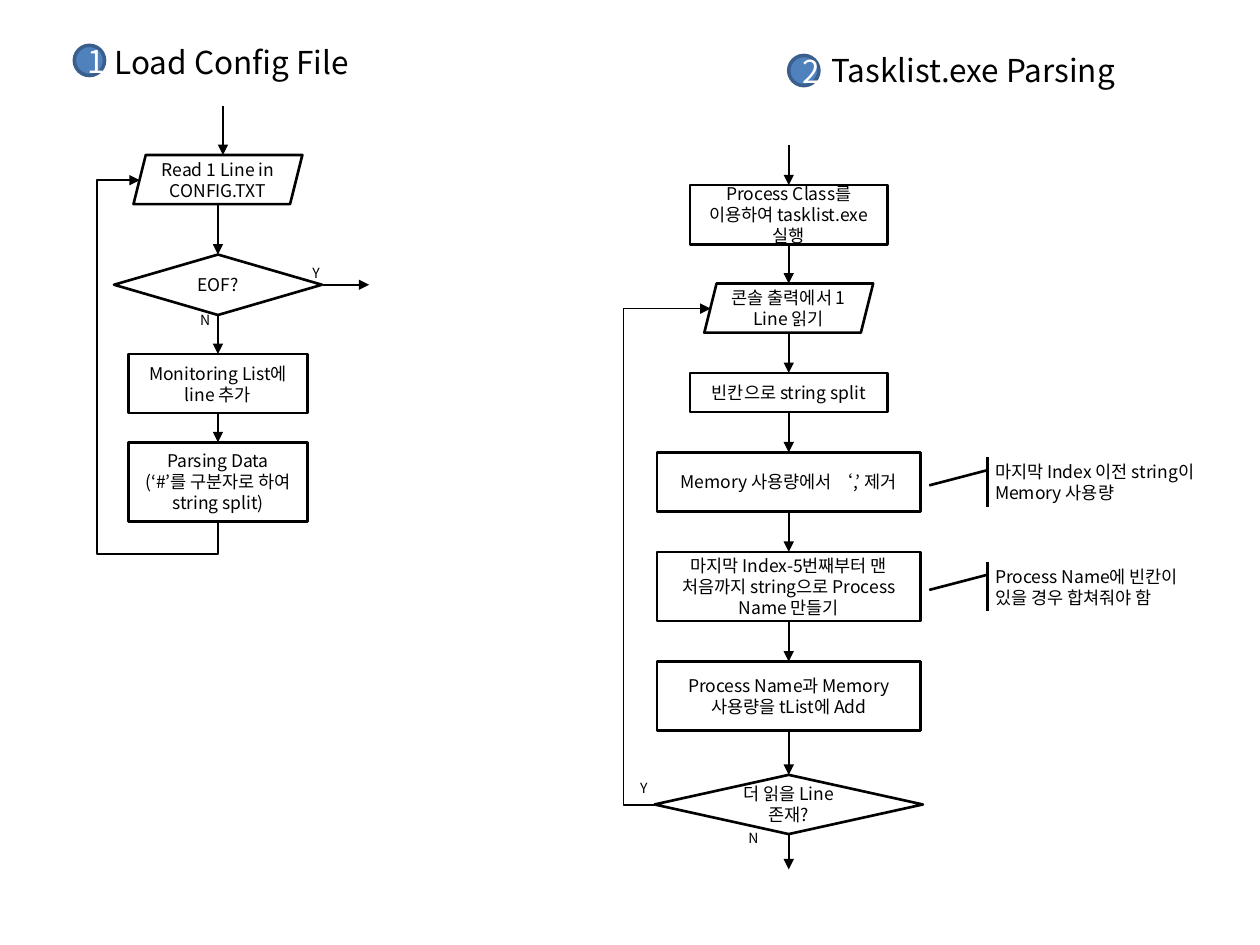
import pptx
import pptx.util
import pptx.dml.color
import pptx.enum.shapes
import pptx.enum.text
import pptx.oxml.ns
import lxml.etree

Inches = pptx.util.Inches
qn = pptx.oxml.ns.qn
FORM = pptx.enum.shapes.MSO_SHAPE
LINK = pptx.enum.shapes.MSO_CONNECTOR
ALIGN = pptx.enum.text.PP_ALIGN
ANCHOR = pptx.enum.text.MSO_ANCHOR
FIT = pptx.enum.text.MSO_AUTO_SIZE
FONT = "Noto Sans CJK KR"
COLORS = {"ink": "000000", "badge": "4F81BD", "rim": "3A5F8C", "pale": "FFFFFF"}

# Each step: shape, top, width, height, text
LOAD = [
    (FORM.PARALLELOGRAM, 1.23, 1.34, 0.39, "Read 1 Line in\nCONFIG.TXT"),
    (FORM.FLOWCHART_DECISION, 2.02, 1.65, 0.48, "EOF?"),
    (FORM.RECTANGLE, 2.81, 1.42, 0.47, "Monitoring List에 line 추가"),
    (FORM.RECTANGLE, 3.51, 1.42, 0.63,
     "Parsing Data\n(‘#’를 구분자로 하여 string split)"),
]
TASKS = [
    (FORM.RECTANGLE, 1.47, 1.57, 0.47, "Process Class를 이용하여 tasklist.exe실행"),
    (FORM.PARALLELOGRAM, 2.25, 1.34, 0.39, "콘솔 출력에서 1 Line 읽기"),
    (FORM.RECTANGLE, 2.96, 1.57, 0.31, "빈칸으로 string split"),
    (FORM.RECTANGLE, 3.59, 2.09, 0.47, "Memory 사용량에서 ‘,’ 제거"),
    (FORM.RECTANGLE, 4.38, 2.09, 0.55,
     "마지막 Index-5번째부터 맨 처음까지 string으로 Process Name 만들기"),
    (FORM.RECTANGLE, 5.25, 2.09, 0.55, "Process Name과 Memory 사용량을 tList에 Add"),
    (FORM.FLOWCHART_DECISION, 6.15, 2.13, 0.47, "더 읽을 Line 존재?"),
]
NOTES = [
    (3.63, "마지막 Index 이전 string이 Memory 사용량"),
    (4.46, "Process Name에 빈칸이 있을 경우 합쳐줘야 함"),
]


def color(name):
    return pptx.dml.color.RGBColor.from_string(COLORS[name])


def write(shape, text, size, align=ALIGN.LEFT, ink="ink"):
    frame = shape.text_frame
    frame.text = text
    for para in frame.paragraphs:
        para.alignment = align
        for run in para.runs:
            run.font.size = pptx.util.Pt(size)
            run.font.name = FONT
            run.font.color.rgb = color(ink)
            east = lxml.etree.SubElement(run.font._element, qn("a:ea"))
            east.set("typeface", FONT)


def pad(frame, inset):
    frame.margin_left = frame.margin_right = Inches(inset)
    frame.margin_top = frame.margin_bottom = Inches(inset)


def box(slide, form, left, top, width, height, text, align=ALIGN.CENTER):
    shape = slide.shapes.add_shape(
        form, Inches(left), Inches(top), Inches(width), Inches(height))
    shape.shadow.inherit = False
    shape.fill.background()
    shape.line.color.rgb = color("ink")
    shape.line.width = pptx.util.Pt(1.5)
    shape.text_frame.vertical_anchor = ANCHOR.MIDDLE
    if form == FORM.PARALLELOGRAM:
        pad(shape.text_frame, 0.04)
    write(shape, text, 10, align)
    return shape


def badge(slide, left, top, text):
    shape = box(slide, FORM.FLOWCHART_CONNECTOR, left, top, 0.24, 0.24, text)
    shape.fill.solid()
    shape.fill.fore_color.rgb = color("badge")
    shape.line.color.rgb = color("rim")
    shape.line.width = pptx.util.Pt(2)
    write(shape, text, 18, ALIGN.CENTER, "pale")


def label(slide, left, top, width, height, text, size=8, inset=0):
    shape = slide.shapes.add_textbox(
        Inches(left), Inches(top), Inches(width), Inches(height))
    frame = shape.text_frame
    frame.word_wrap = True
    frame.auto_size = FIT.SHAPE_TO_FIT_TEXT
    if not inset:
        pad(frame, 0)
    write(shape, text, size)


def arrow(slide, x1, y1, x2, y2, kind=LINK.STRAIGHT):
    line = slide.shapes.add_connector(
        kind, Inches(x1), Inches(y1), Inches(x2), Inches(y2))
    line.line.color.rgb = color("ink")
    line.line.width = pptx.util.Pt(1)
    tail = lxml.etree.SubElement(line.line._get_or_add_ln(), qn("a:tailEnd"))
    tail.set("type", "triangle")
    lxml.etree.SubElement(line._element.spPr, qn("a:effectLst"))
    return line


def bend(slide, ends, form, shifts, turn=0):
    """Elbow arrow; shifts are the bend positions as shares of its frame."""
    line = arrow(slide, *ends, kind=LINK.ELBOW)
    props = line._element.spPr
    props.find(qn("a:xfrm")).set("rot", str(turn * 60000))
    geom = props.find(qn("a:prstGeom"))
    geom.set("prst", form)
    guides = geom.find(qn("a:avLst"))
    if guides is None:
        guides = lxml.etree.SubElement(geom, qn("a:avLst"))
    for num, shift in enumerate(shifts, 1):
        guide = lxml.etree.SubElement(guides, qn("a:gd"))
        guide.set("name", f"adj{num}")
        guide.set("fmla", f"val {round(shift * 100000)}")


def flow(slide, mid, steps):
    """Stack steps on a centre line and join each to the next."""
    for form, top, width, height, text in steps:
        box(slide, form, mid - width / 2, top, width, height, text)
    for step, after in zip(steps, steps[1:]):
        arrow(slide, mid, step[1] + step[3], mid, after[1])


def note(slide, top, text):
    shape = box(slide, FORM.LINE_CALLOUT_1_ACCENT_BAR, 7.8, top, 1.93, 0.39,
                text, ALIGN.LEFT)
    for num, value in enumerate((0.26, 0.02, 0.57, -0.22)):
        shape.adjustments[num] = value


def head(slide, text):
    title = slide.shapes.title
    title.left, title.top = Inches(0.81), Inches(0.29)
    title.width, title.height = Inches(2.6), Inches(0.4)
    title.text_frame.vertical_anchor = ANCHOR.TOP
    title.text_frame.auto_size = FIT.SHAPE_TO_FIT_TEXT
    write(title, text, 18)


def main():
    deck = pptx.Presentation()
    deck.slide_width, deck.slide_height = Inches(10), Inches(7.5)
    slide = deck.slides.add_slide(deck.slide_layouts[5])

    # Headings
    head(slide, "Load Config File")
    label(slide, 6.5, 0.36, 2.76, 0.4, "Tasklist.exe Parsing", 18, 0.1)
    badge(slide, 0.59, 0.36, "1")
    badge(slide, 6.26, 0.44, "2")

    # Config loading flow
    flow(slide, 1.73, LOAD)
    arrow(slide, 1.77, 0.84, 1.77, 1.23)
    arrow(slide, 2.56, 2.26, 2.93, 2.26)
    bend(slide, (2.78, 2.48, 0.06, 3.1), "bentConnector4", (-0.09, 1.55), 90)
    label(slide, 1.49, 2.42, 0.31, 0.24, "N", inset=0.1)
    label(slide, 2.48, 2.1, 0.16, 0.13, "Y")

    # Task list flow
    flow(slide, 6.26, TASKS)
    arrow(slide, 6.26, 1.15, 6.26, 1.47)
    arrow(slide, 6.26, 6.62, 6.26, 6.9)
    bend(slide, (5.2, 6.39, 5.64, 2.45), "bentConnector3", (-0.57,))
    label(slide, 5.94, 6.58, 0.16, 0.13, "N")
    label(slide, 5.08, 6.19, 0.16, 0.13, "Y")

    # Side notes
    for top, text in NOTES:
        note(slide, top, text)

    deck.save("out.pptx")


if __name__ == "__main__":
    main()
